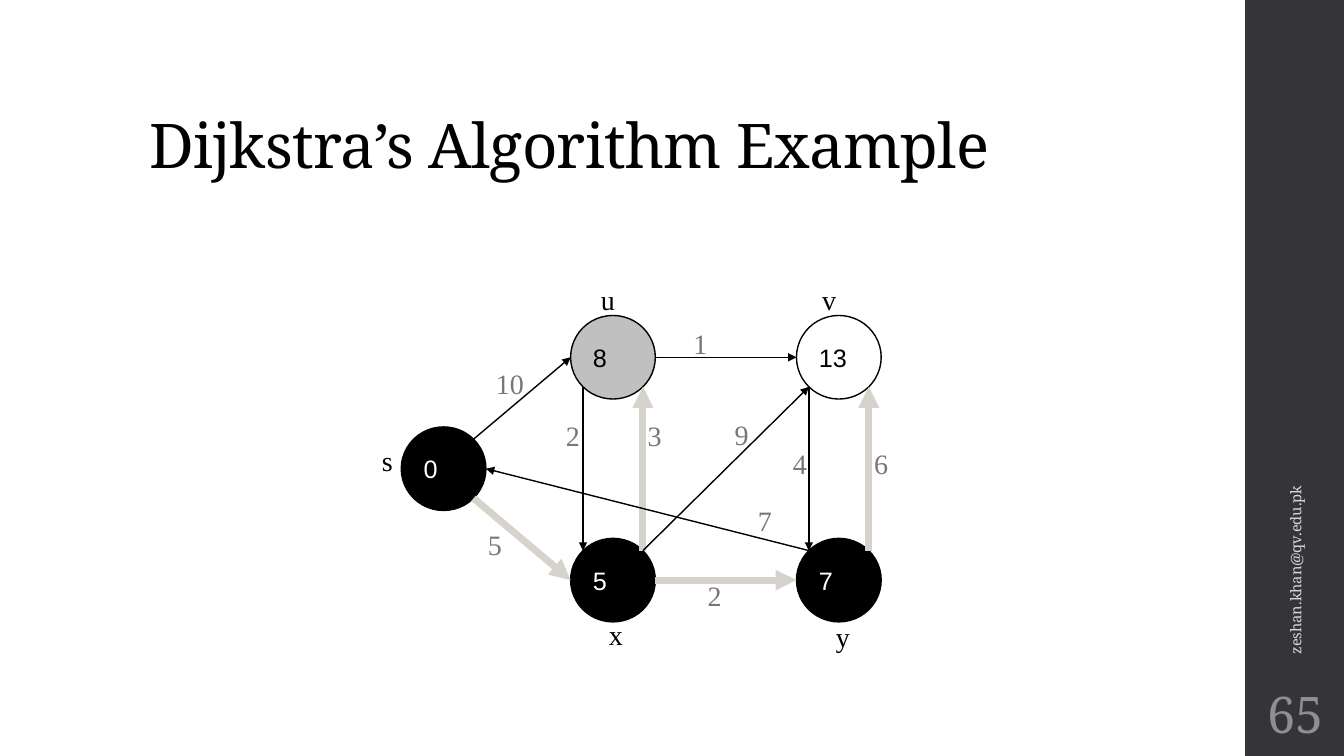
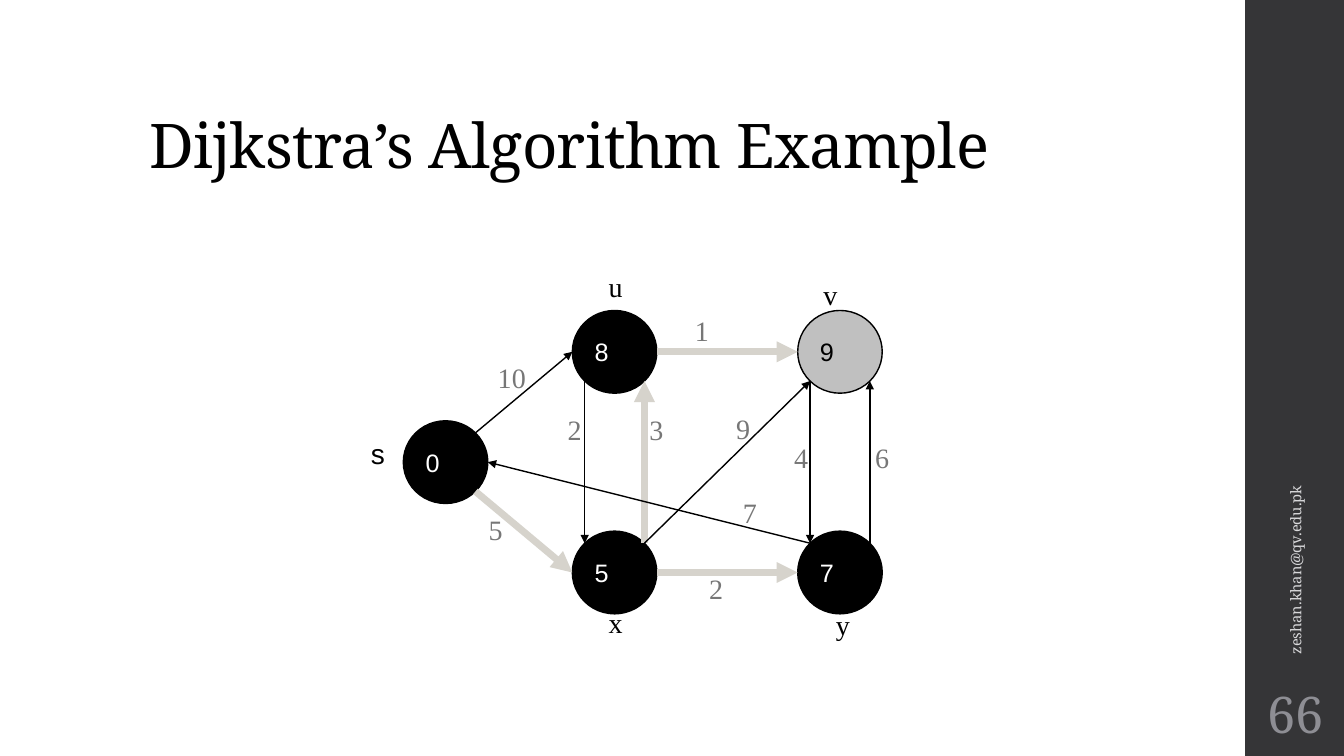
from math import cos, sin, radians
from pptx import Presentation
from pptx.dml.color import RGBColor as Rgb
from pptx.enum.shapes import MSO_SHAPE as Shape, MSO_CONNECTOR as Line
from pptx.enum.text import MSO_ANCHOR as Anchor, PP_ALIGN as Align
from pptx.oxml.ns import qn
from pptx.util import Inches, Pt
from lxml.etree import SubElement

WIDE, HIGH = 13.33, 7.5
INK = dict(black="000000", white="FFFFFF", grey="C0C0C0", tree="D6D3CC",
           weight="777777", band="353537", mail="D9D9DB", page="8E8E94")
HEAD, BODY, NODE = "Noto Serif", "Times New Roman", "Arial"
BAND = (12.35, 0, 1, HIGH)

# Graph grid: 8.5 columns by 2.75 rows; a node is 1.5 columns by 0.75 row.
COLS, ROWS = 8.5, 2.75
WIDTH, DEPTH = 1.5, 0.75
SPOTS = dict(s=(0, 1), u=(3, 0), v=(7, 0), x=(3, 2), y=(7, 2))
# Compass angles, clockwise from the right-hand side.
E, SE, SW, W, NW, NE = 0, 45, 135, 180, 225, 315
# Edge: (leaving angle, arriving angle, weight)
EDGES = dict(xu=(NE, SE, 3), ux=(SW, NW, 2), uv=(E, W, 1), xv=(NE, SW, 9),
             vy=(SW, NW, 4), yv=(NE, SE, 6), xy=(E, W, 2), ys=(NW, E, 7),
             sx=(SE, W, 5), su=(NE, W, 10))
# Label corners in columns and rows; one letter names a node, two an edge.
TAGS = dict(s=(-0.52, 1.1), u=(3.36, -0.34), v=(7.28, -0.34),
            x=(3.5, 2.67), y=(7.52, 2.68),
            su=(1.5, 0.41), sx=(1.36, 1.86), uv=(5, 0.05), ux=(2.74, 0.88),
            xu=(4.19, 0.88), xv=(5.73, 0.87), vy=(6.76, 1.13),
            yv=(8.2, 1.13), ys=(6.14, 1.64), xy=(5.25, 2.32))
LOOKS = dict(done=("black", "white"), next=("grey", "black"),
             open=(None, "black"))

STEPS = [
    dict(page=65, box=(3.98, 3.13, 4.76, 3.04), tree="sx xu xy yv",
         dist=dict(s=0, u=8, v=13, x=5, y=7),
         state=dict(u="next", v="open"), moved={}, fonts={}),
    dict(page=66, box=(4, 3.08, 4.75, 3.01), tree="sx xu xy uv",
         dist=dict(s=0, u=8, v=9, x=5, y=7), state=dict(v="next"),
         moved=dict(s=(-0.75, 1.1), u=(3.47, -0.42), x=(3.47, 2.63),
                    y=(7.5, 2.65), sx=(1.34, 1.79), uv=(5, -0.02),
                    ys=(5.85, 1.63)),
         fonts=dict(s=NODE)),
]


def tint(name):
    """Return the named colour."""
    return Rgb.from_string(INK[name])


def write(shape, text, size, font, color, anchor=Anchor.TOP, wrap=True):
    """Put one run of text in a shape; return its paragraph and run."""
    frame = shape.text_frame
    frame.word_wrap, frame.vertical_anchor = wrap, anchor
    para = frame.paragraphs[0]
    para.alignment = Align.LEFT
    run = para.add_run()
    run.text = str(text)
    run.font.size, run.font.name = Pt(size), font
    run.font.color.rgb = tint(color)
    return para, run


def label(slide, box, *style, **more):
    """Add a text box; return it with its paragraph and run."""
    shape = slide.shapes.add_textbox(*map(Inches, box))
    return (shape, *write(shape, *style, **more))


def solid(slide, kind, box, fill, edge=None):
    """Add a flat preset shape."""
    shape = slide.shapes.add_shape(kind, *map(Inches, box))
    shape.shadow.inherit = False
    if fill:
        shape.fill.solid()
        shape.fill.fore_color.rgb = tint(fill)
    else:
        shape.fill.background()
    if edge:
        shape.line.color.rgb, shape.line.width = tint(edge), Pt(1)
    else:
        shape.line.fill.background()
    return shape


def arrow(slide, start, end, color, width):
    """Draw a straight arrow from start to end."""
    line = slide.shapes.add_connector(Line.STRAIGHT,
                                      *map(Inches, (*start, *end)))
    line.line.color.rgb, line.line.width = tint(color), Pt(width)
    SubElement(line.line._get_or_add_ln(), qn("a:tailEnd"), type="triangle")
    SubElement(line._element.spPr, qn("a:effectLst"))


def title(slide, box, text):
    """Add the slide title at the foot of its box."""
    _, para, run = label(slide, box, text, 44, HEAD, "black",
                         anchor=Anchor.BOTTOM)
    para.line_spacing = 0.9
    run.font._element.set("spc", "-50")


def band(slide, box, page):
    """Add the side band with its turned address and page number."""
    left, top, wide, high = box
    solid(slide, Shape.RECTANGLE, box, "band")
    long, thin = 3.92, 0.4
    mid = left + wide / 2
    mail, _, _ = label(slide, (mid - long / 2, top + 4.43, long, thin),
                       "zeshan.khan@qv.edu.pk", 10.5, HEAD, "mail",
                       anchor=Anchor.MIDDLE)
    mail.rotation = 270
    num, para, _ = label(slide, (left, top + 0.9 * high, wide, 0.65), page,
                         36, HEAD, "page", anchor=Anchor.MIDDLE)
    para.alignment = Align.CENTER
    frame = num.text_frame
    frame.margin_left = frame.margin_right = Inches(0.05)


def graph(slide, box, step):
    """Draw nodes, edges and labels on a grid that fills the box."""
    left, top, wide, high = box
    col, row = wide / COLS, high / ROWS

    def place(c, r):
        return left + c * col, top + r * row

    def rim(name, angle):
        c, r = SPOTS[name]
        turn = radians(angle)
        return place(c + WIDTH / 2 * (1 + cos(turn)),
                     r + DEPTH / 2 * (1 + sin(turn)))

    for name, spot in SPOTS.items():
        fill, color = LOOKS[step["state"].get(name, "done")]
        node = solid(slide, Shape.OVAL,
                     (*place(*spot), WIDTH * col, DEPTH * row), fill, "black")
        write(node, step["dist"][name], 18, NODE, color,
              anchor=Anchor.MIDDLE, wrap=False)

    tree = step["tree"].split()
    for pair, (leave, reach, _) in EDGES.items():
        style = ("tree", 5) if pair in tree else ("black", 1)
        arrow(slide, rim(pair[0], leave), rim(pair[1], reach), *style)

    for name, spot in (TAGS | step["moved"]).items():
        edge = name in EDGES
        text, color = (EDGES[name][2], "weight") if edge else (name, "black")
        span = 1.5 if name in ("su", "sx", "uv") else 1
        label(slide, (*place(*spot), span * col, 0.4 * row), text, 20,
              step["fonts"].get(name, BODY), color)


def build(deck, step):
    """Add one slide for a step of the algorithm."""
    slide = deck.slides.add_slide(deck.slide_layouts[6])
    band(slide, BAND, step["page"])
    title(slide, (1.38, 0.4, 10.6, 1.45), "Dijkstra’s Algorithm Example")
    graph(slide, step["box"], step)


deck = Presentation()
deck.slide_width, deck.slide_height = Inches(WIDE), Inches(HIGH)
for step in STEPS:
    build(deck, step)
deck.save("out.pptx")
